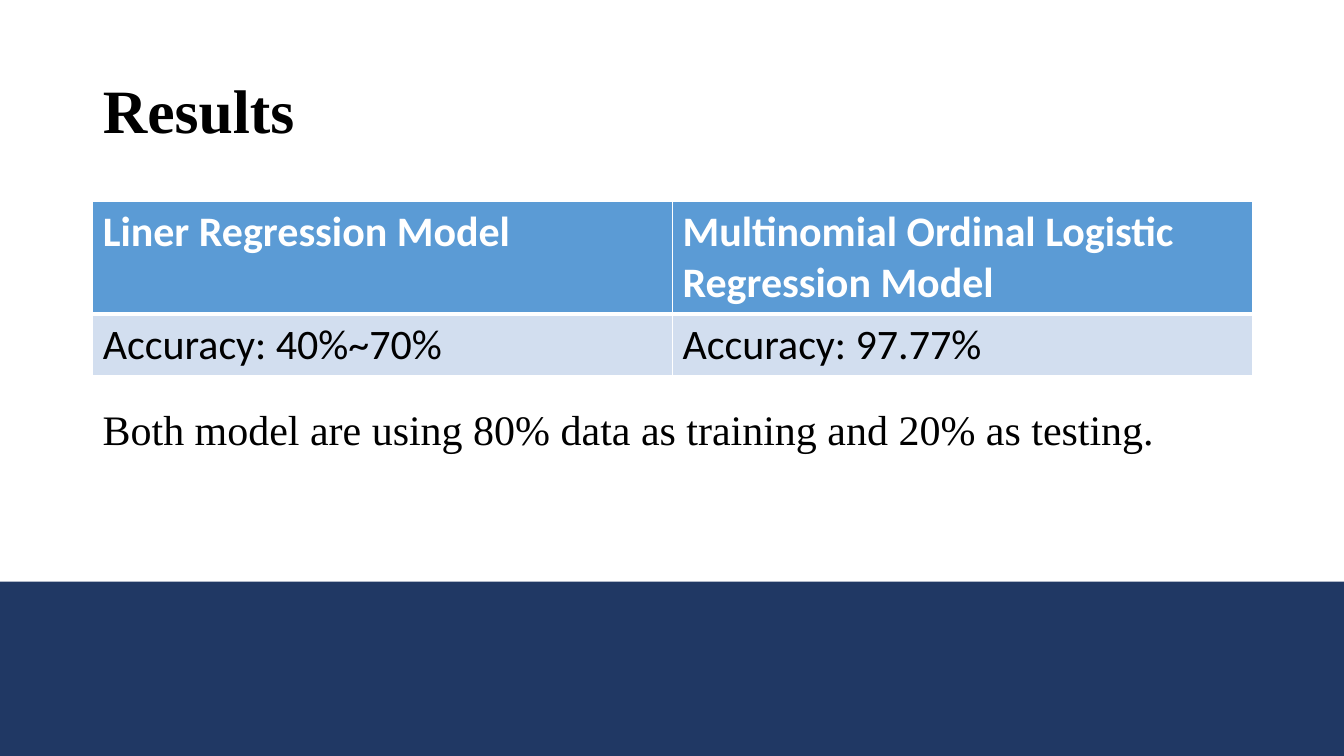
from pptx import Presentation
from pptx.dml.color import RGBColor
from pptx.enum.shapes import MSO_SHAPE
from pptx.enum.text import MSO_ANCHOR, PP_ALIGN
from pptx.oxml import parse_xml
from pptx.oxml.ns import nsdecls
from pptx.util import Inches, Pt

WIDTH, HEIGHT = Inches(13.33), Inches(7.5)
MARGIN, CONTENT = Inches(0.92), Inches(11.5)
SERIF, SANS = "Times New Roman", "Calibri"
WHITE, BLACK, BLUE, PALE, NAVY = "FFFFFF", "000000", "5B9BD5", "D2DEEF", "203864"
RESULTS = [
    ["Liner Regression Model", "Multinomial Ordinal Logistic Regression Model"],
    ["Accuracy: 40%~70%", "Accuracy: 97.77%"],
]
ROW_HEIGHTS = [1.1, 0.6]


def color(hex_code):
    """Turn a hex string into a colour."""
    return RGBColor.from_string(hex_code)


def write(tf, text, font, size, hex_code, bold=False):
    """Set the text of a frame and format it as one left-aligned paragraph."""
    tf.text = text
    tf.word_wrap = True
    p = tf.paragraphs[0]
    p.alignment = PP_ALIGN.LEFT
    f = p.runs[0].font
    f.name, f.size, f.bold = font, Pt(size), bold
    f.color.rgb = color(hex_code)


def add_title(s, text):
    """Place and format the title placeholder."""
    sp = s.shapes.title
    sp.left, sp.top, sp.width, sp.height = MARGIN, Inches(0.4), CONTENT, Inches(1.45)
    write(sp.text_frame, text, SERIF, 44, BLACK, True)
    sp.text_frame.vertical_anchor = MSO_ANCHOR.MIDDLE
    sp.text_frame.paragraphs[0].line_spacing = 0.9


def set_borders(cell, widths):
    """Draw white cell borders, with a width in points for each side."""
    tc_pr = cell._tc.get_or_add_tcPr()
    for i, (side, width) in enumerate(widths.items()):
        tc_pr.insert(i, parse_xml(
            f'<a:ln{side} {nsdecls("a")} w="{Pt(width)}"><a:solidFill>'
            f'<a:srgbClr val="{WHITE}"/></a:solidFill></a:ln{side}>'))


def add_results(s, rows):
    """Add the table that compares the models, with a header row."""
    table = s.shapes.add_table(len(rows), len(rows[0]), MARGIN, Inches(2),
                               CONTENT, Inches(sum(ROW_HEIGHTS))).table
    for i, row in enumerate(rows):
        table.rows[i].height = Inches(ROW_HEIGHTS[i])
        header = i == 0
        for j, text in enumerate(row):
            cell = table.cell(i, j)
            write(cell.text_frame, text, SANS, 30, WHITE if header else BLACK, header)
            cell.fill.solid()
            cell.fill.fore_color.rgb = color(BLUE if header else PALE)
            set_borders(cell, {"L": 1, "R": 1, "T": 1 if header else 3,
                               "B": 3 if header else 1})


def add_band(s, top, height):
    """Add the full-width colour band at the foot of the slide."""
    sp = s.shapes.add_shape(MSO_SHAPE.RECTANGLE, 0, top, WIDTH, height)
    sp.shadow.inherit = False
    sp.fill.solid()
    sp.fill.fore_color.rgb = color(NAVY)
    sp.line.fill.background()


def add_note(s, text, top):
    """Add a line of body text as wide as the table."""
    sp = s.shapes.add_textbox(MARGIN, top, CONTENT, Inches(0.6))
    write(sp.text_frame, text, SERIF, 30, BLACK)


def main():
    """Build the results slide."""
    prs = Presentation()
    prs.slide_width, prs.slide_height = WIDTH, HEIGHT
    s = prs.slides.add_slide(prs.slide_layouts[5])
    add_title(s, "Results")
    add_results(s, RESULTS)
    band_top = Inches(5.77)
    add_band(s, band_top, HEIGHT - band_top)
    add_note(s, "Both model are using 80% data as training and 20% as testing.", Inches(3.95))
    prs.save("out.pptx")


main()
